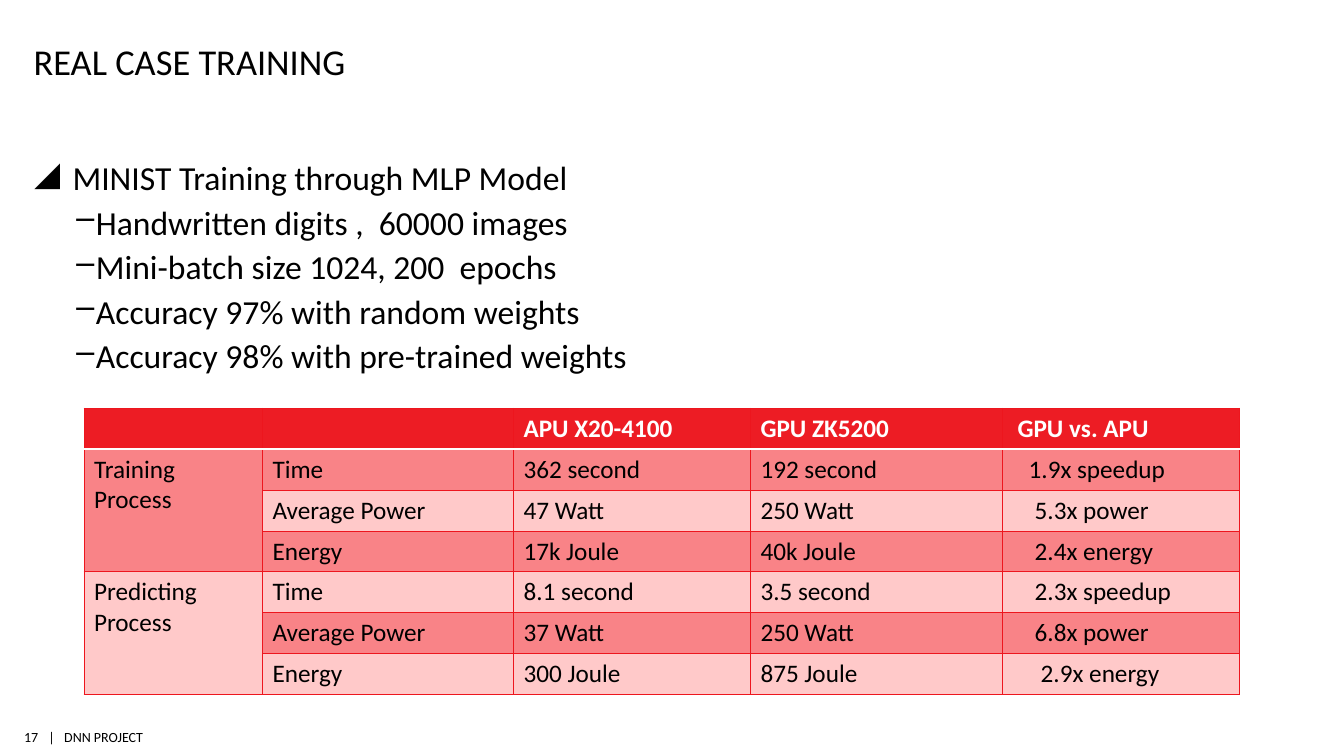
from dataclasses import dataclass

from lxml.etree import SubElement
from pptx import Presentation
from pptx.dml.color import RGBColor
from pptx.enum.text import MSO_ANCHOR, PP_ALIGN
from pptx.oxml import parse_xml
from pptx.oxml.ns import nsdecls, qn
from pptx.util import Inches, Pt


@dataclass(frozen=True)
class Theme:
    font: str = "Calibri"
    text: str = "000000"
    inverse: str = "FFFFFF"
    header: str = "ED1C24"
    border: str = "ED161E"
    band_dark: str = "F98387"
    band_light: str = "FFC9C9"
    title_size: int = 26
    body_size: int = 24
    table_size: int = 18
    footer_size: int = 10


THEME = Theme()

BULLETS = [
    (0, "MINIST Training through MLP Model"),
    (1, "Handwritten digits ,  60000 images"),
    (1, "Mini-batch size 1024, 200  epochs"),
    (1, "Accuracy 97% with random weights"),
    (1, "Accuracy 98% with pre-trained weights"),
]
# Per level: character, left margin and hanging indent in inches, space before in points
BULLET_STYLES = [("◢", 0.38, 0.38, 8), ("‒", 0.6, 0.2, 3)]

RESULTS = [
    ["", "", "APU X20-4100", "GPU ZK5200", "GPU vs. APU"],
    ["Training Process", "Time", "362 second", "192 second", "1.9x speedup"],
    ["", "Average Power", "47 Watt", "250 Watt", "5.3x power"],
    ["", "Energy", "17k Joule", "40k Joule", "2.4x energy"],
    ["Predicting Process", "Time", "8.1 second", "3.5 second", "2.3x speedup"],
    ["", "Average Power", "37 Watt", "250 Watt", "6.8x power"],
    ["", "Energy", "300 Joule", "875 Joule", "2.9x energy"],
]
COLUMN_SHARES = [13.28, 18.68, 17.63, 18.75, 17.63]
RATIO_MARGINS = [0.15, 0.26, 0.32, 0.32, 0.32, 0.32, 0.38]
GROUP_ROWS = 3


def write(p, text, size, color=THEME.text, bold=False, align=None):
    p.alignment = align
    r = p.add_run()
    r.text = text
    r.font.name = THEME.font
    r.font.size = Pt(size)
    r.font.bold = bold
    r.font.color.rgb = RGBColor.from_string(color)


def add_bullet(p, level):
    char, left, hanging, _ = BULLET_STYLES[level]
    pPr = p._p.get_or_add_pPr()
    pPr.set("marL", str(Inches(left)))
    pPr.set("indent", str(-Inches(hanging)))
    color = SubElement(pPr, qn("a:buClr"))
    SubElement(color, qn("a:srgbClr"), val=THEME.text)
    SubElement(pPr, qn("a:buChar"), char=char)


def set_borders(cell, **special):
    """Draw all four sides; special maps a side (L, R, T, B) to (colour, points)."""
    tcPr = cell._tc.get_or_add_tcPr()
    for i, side in enumerate("LRTB"):
        color, width = special.get(side, (THEME.border, 0.75))
        tcPr.insert(i, parse_xml(
            f'<a:ln{side} {nsdecls("a")} w="{Pt(width)}"><a:solidFill>'
            f'<a:srgbClr val="{color}"/></a:solidFill></a:ln{side}>'))


class SlideBuilder:
    """Places elements by percentages of the slide's width and height."""

    def __init__(self, prs):
        self.prs = prs
        self.s = prs.slides.add_slide(prs.slide_layouts[6])

    def x(self, share):
        return round(self.prs.slide_width * share / 100)

    def y(self, share):
        return round(self.prs.slide_height * share / 100)

    def box(self, left, top, width, height, anchor=MSO_ANCHOR.TOP,
            pad_top=0.05, pad_bottom=0.05, wrap=True):
        sp = self.s.shapes.add_textbox(
            self.x(left), self.y(top), self.x(width), self.y(height))
        tf = sp.text_frame
        tf.margin_left = tf.margin_right = 0
        tf.margin_top, tf.margin_bottom = Inches(pad_top), Inches(pad_bottom)
        tf.vertical_anchor = anchor
        tf.word_wrap = wrap
        return tf

    def title(self, text):
        tf = self.box(2.5, 4, 85.5, 6.93, MSO_ANCHOR.BOTTOM, pad_bottom=0)
        write(tf.paragraphs[0], text, THEME.title_size)

    def bullets(self, items):
        tf = self.box(2.55, 20.13, 82.4, 73.3)
        for i, (level, text) in enumerate(items):
            p = tf.add_paragraph() if i else tf.paragraphs[0]
            p.level = level
            if i:
                p.space_before = Pt(BULLET_STYLES[level][3])
            add_bullet(p, level)
            write(p, text, THEME.body_size)

    def footer(self, text, left, width, align=None):
        tf = self.box(left, 95.73, width, 3.47, MSO_ANCHOR.MIDDLE, 0.04, 0.04, wrap=False)
        write(tf.paragraphs[0], text, THEME.footer_size, align=align)

    def table(self, rows):
        frame = self.s.shapes.add_table(
            len(rows), len(COLUMN_SHARES), self.x(6.25), self.y(54),
            self.x(sum(COLUMN_SHARES)), self.y(37.9))
        table = frame.table
        for column, share in zip(table.columns, COLUMN_SHARES):
            column.width = self.x(share)
        for i, values in enumerate(rows):
            for j, text in enumerate(values):
                self.cell(table.cell(i, j), i, j, text)
        for top in range(1, len(rows), GROUP_ROWS):
            table.cell(top, 0).merge(table.cell(top + GROUP_ROWS - 1, 0))

    def cell(self, cell, row, col, text):
        is_header = row == 0
        # A process cell takes the band of the first row in its group
        band_row = row - (row - 1) % GROUP_ROWS if col == 0 else row
        band = THEME.band_dark if band_row % 2 else THEME.band_light
        cell.fill.solid()
        cell.fill.fore_color.rgb = RGBColor.from_string(THEME.header if is_header else band)
        rule = (THEME.inverse, 2)
        set_borders(cell, **({"B": rule} if is_header else {"T": rule} if row == 1 else {}))
        if col == len(COLUMN_SHARES) - 1:
            cell.margin_left = Inches(RATIO_MARGINS[row])
        if text:
            write(cell.text_frame.paragraphs[0], text, THEME.table_size,
                  color=THEME.inverse if is_header else THEME.text, bold=is_header)


def main():
    prs = Presentation()
    prs.slide_width, prs.slide_height = Inches(13.33), Inches(7.5)
    slide = SlideBuilder(prs)
    slide.footer("|   DNN PROJECT", 3.6, 7.2)
    slide.footer("17", 1.65, 1.2, align=PP_ALIGN.RIGHT)
    slide.title("REAL CASE TRAINING")
    slide.bullets(BULLETS)
    slide.table(RESULTS)
    prs.save("out.pptx")


if __name__ == "__main__":
    main()
